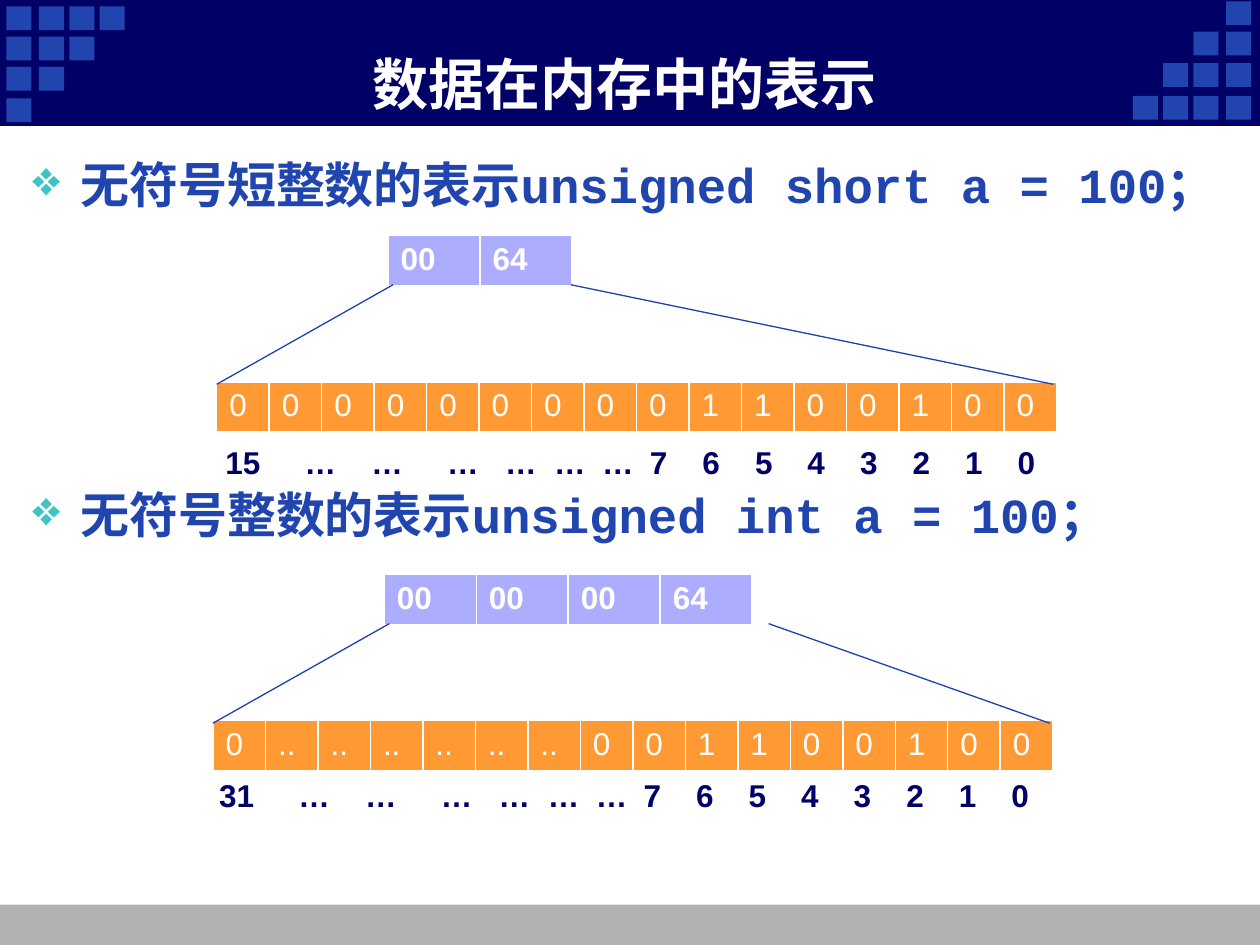
import pptx
import pptx.dml.color
import pptx.enum.shapes
import pptx.enum.text
import pptx.oxml
import pptx.oxml.ns
import pptx.util
from pptx.util import Inches

NAVY, BLUE, WHITE = "000066", "2045AE", "FFFFFF"
TITLE = dict(name="Arial", size=32, bold=True, color=WHITE)
HEADING = dict(name="Courier New", size=28, bold=True, color=BLUE)
BYTE = dict(name="Arial", size=18, bold=True, color=WHITE)
BIT = dict(BYTE, bold=False)
LABEL = dict(BYTE, color=NAVY)
BIT_WIDTH = 6.67 / 16
BAR_HEIGHT = 0.41


def rgb(value):
    return pptx.dml.color.RGBColor.from_string(value)


def add_xml(parent, markup):
    namespace = pptx.oxml.ns.nsdecls("a")
    parent.append(pptx.oxml.parse_xml(markup.replace("NS", namespace)))


def write(para, text, style):
    span = para.add_run()
    span.text = text
    for key, value in style.items():
        if key == "color":
            span.font.color.rgb = rgb(value)
        else:
            setattr(span.font, key, pptx.util.Pt(value) if key == "size" else value)


def add_box(page, left, top, width, height, color, rotation=0):
    box = page.shapes.add_shape(
        pptx.enum.shapes.MSO_SHAPE.RECTANGLE,
        Inches(left), Inches(top), Inches(width), Inches(height))
    box.shadow.inherit = False
    box.fill.solid()
    box.fill.fore_color.rgb = rgb(color)
    box.line.fill.background()
    box.rotation = rotation


def add_text_frame(page, left, top, width, height):
    box = page.shapes.add_textbox(
        Inches(left), Inches(top), Inches(width), Inches(height))
    box.text_frame.word_wrap = True
    return box.text_frame


def add_line(page, start, end):
    line = page.shapes.add_connector(
        pptx.enum.shapes.MSO_CONNECTOR.STRAIGHT,
        *[Inches(value) for value in (*start, *end)])
    line.line.color.rgb = rgb("1C42AE")
    line.line.width = pptx.util.Pt(0.75)
    add_xml(line._element.spPr, "<a:effectLst NS/>")


def add_bar(page, left, top, cell_width, values, fill, style):
    """One-row table of memory cells."""
    table = page.shapes.add_table(
        1, len(values), Inches(left), Inches(top),
        Inches(cell_width * len(values)), Inches(BAR_HEIGHT)).table
    table.first_row = table.horz_banding = False
    table.rows[0].height = Inches(BAR_HEIGHT)
    for column, cell, value in zip(table.columns, table.rows[0].cells, values):
        column.width = Inches(cell_width)
        write(cell.text_frame.paragraphs[0], value, style)
        properties = cell._tc.get_or_add_tcPr()
        for side, width in (("L", 1), ("R", 1), ("T", 1), ("B", 3)):
            add_xml(properties,
                    f'<a:ln{side} NS w="{width * 12700}"><a:solidFill>'
                    f'<a:srgbClr val="{WHITE}"/></a:solidFill></a:ln{side}>')
        cell.fill.solid()
        cell.fill.fore_color.rgb = rgb(fill)


def add_squares(page, columns, rows, rotation=0):
    """Triangle of squares, longest row first."""
    for row, top in enumerate(rows):
        for left in columns[:len(columns) - row]:
            add_box(page, left, top, 0.2, 0.19, BLUE, rotation)


def add_header(page, left, top, width, height):
    add_box(page, left, top, width, height, NAVY)
    add_squares(page, [0.05, 0.31, 0.55, 0.79], [0.05, 0.29, 0.53, 0.78])
    add_squares(page, [9.73, 9.47, 9.23, 8.99], [0.76, 0.5, 0.25, 0.01], 180)
    frame = add_text_frame(page, 0.92, 0.35, 8.08, 0.62)
    frame.vertical_anchor = pptx.enum.text.MSO_ANCHOR.MIDDLE
    para = frame.paragraphs[0]
    para.alignment = pptx.enum.text.PP_ALIGN.CENTER
    write(para, "数据在内存中的表示", TITLE)


def add_headings(page, left, top, width, height):
    """Two bulleted headings, with room for a diagram between them."""
    frame = add_text_frame(page, left, top, width, height)
    headings = [("无符号短整数的表示unsigned short a = 100；", 0),
                ("无符号整数的表示unsigned int a = 100；", 155)]
    for index, (text, gap) in enumerate(headings):
        para = frame.add_paragraph() if index else frame.paragraphs[0]
        para.space_before = pptx.util.Pt(gap)
        properties = para._p.get_or_add_pPr()
        properties.set("marL", str(Inches(0.38)))
        properties.set("indent", str(-Inches(0.38)))
        add_xml(properties, '<a:buClr NS><a:srgbClr val="3DC5C5"/></a:buClr>')
        add_xml(properties, '<a:buChar NS char="❖"/>')
        write(para, text, HEADING)


def add_bit_labels(page, left, top, highest):
    """Bit numbers, set on tab stops."""
    para = add_text_frame(page, left, top, 6.67, 0.4).paragraphs[0]
    stops = [0.63, 1.16, 1.76, 2.22, 2.61, 2.99]
    stops += [3.37 + BIT_WIDTH * index for index in range(8)]
    tabs = "".join(f'<a:tab pos="{Inches(stop)}" algn="l"/>' for stop in stops)
    add_xml(para._p.get_or_add_pPr(), f"<a:tabLst NS>{tabs}</a:tabLst>")
    write(para, "\t".join([highest] + ["…"] * 6 + list("76543210")), LABEL)


def add_memory_diagram(page, left, top, byte_values, bit_values, right_start):
    """Bytes above, opened out into bits below."""
    add_bar(page, left, top + 1.16, BIT_WIDTH, bit_values, "FF9933", BIT)
    add_bar(page, left + 1.36, top, 0.73, byte_values, "ADADFF", BYTE)
    add_line(page, (left + 1.4, top + 0.39), (left, top + 1.18))
    add_line(page, (right_start, top + 0.39), (left + 6.64, top + 1.18))


def main():
    deck = pptx.Presentation()
    deck.slide_width, deck.slide_height = Inches(10), Inches(7.5)
    page = deck.slides.add_slide(deck.slide_layouts[6])

    # Footer band and header
    add_box(page, 0, 7.18, 10, 0.32, "B2B2B2")
    add_header(page, 0, 0, 10, 1)
    add_headings(page, 0.16, 1.18, 9.84, 5.74)

    # Short integer, then integer
    low_byte = list("01100100")
    add_memory_diagram(page, 1.72, 1.87, ["00", "64"],
                       ["0"] * 8 + low_byte, 4.53)
    add_memory_diagram(page, 1.69, 4.56, ["00"] * 3 + ["64"],
                       ["0"] + [".."] * 6 + ["0"] + low_byte, 6.1)
    add_bit_labels(page, 1.69, 3.47, "15")
    add_bit_labels(page, 1.64, 6.11, "31")

    deck.save("out.pptx")


if __name__ == "__main__":
    main()
